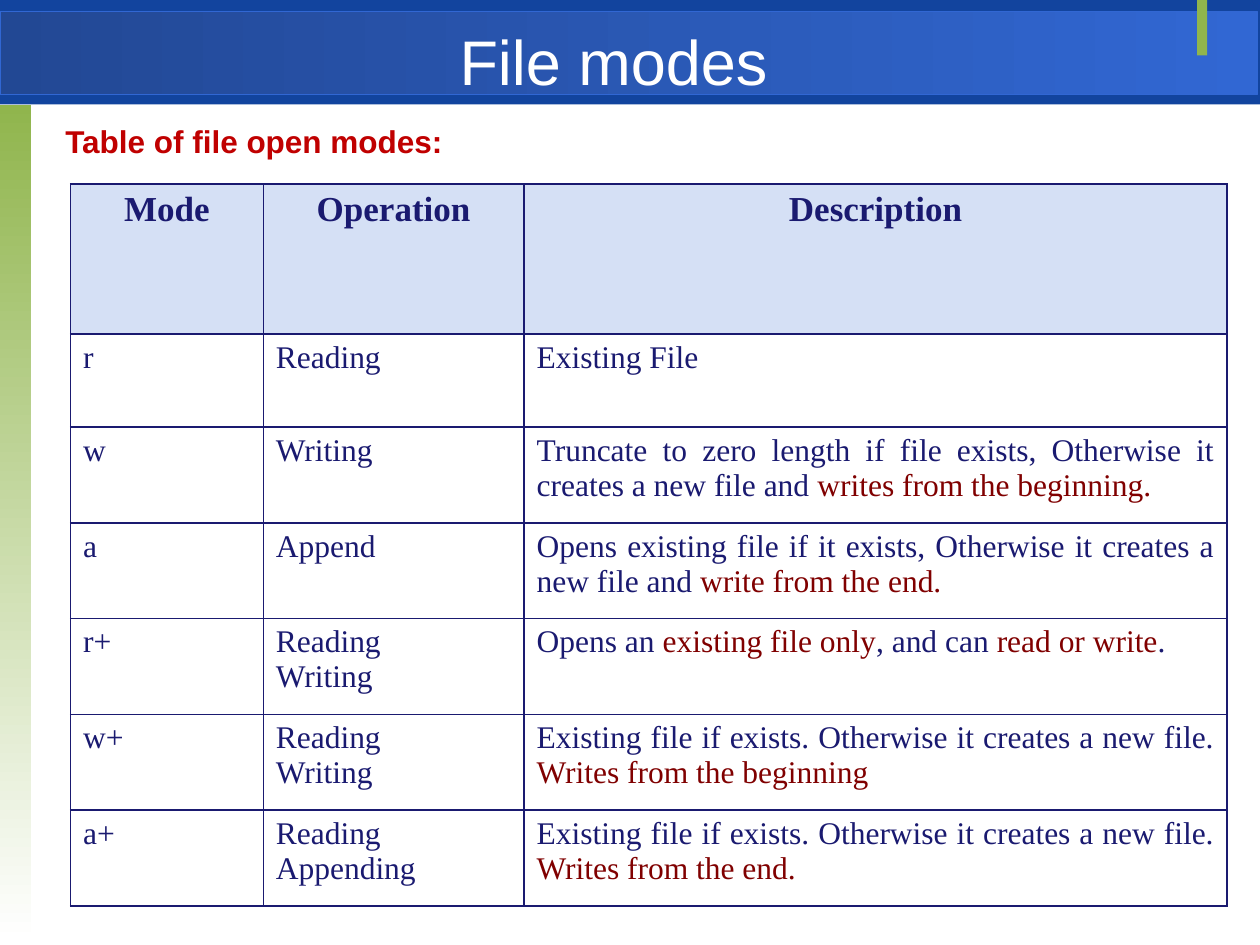
"""Build the slide that tabulates the file open modes."""
from dataclasses import dataclass

from lxml import etree
from pptx import Presentation
from pptx import util as u
from pptx.dml import color
from pptx.enum import shapes, text
from pptx.oxml import ns

NAVY, MAROON, HEADER_FILL = "1A1A70", "800000", "D5E0F5"
GREEN, WHITE = "90B54D", "FFFFFF"
SERIF, SANS = "Times New Roman", "Arial"
LEFT, CENTER, JUSTIFY = text.PP_ALIGN.LEFT, text.PP_ALIGN.CENTER, text.PP_ALIGN.JUSTIFY


@dataclass
class Bar:
    box: tuple[float, float, float, float]
    colors: tuple[str, ...]
    angle: int = 0
    line: str | None = None


@dataclass
class FileMode:
    """One table row; description runs alternate between plain and highlighted."""
    mode: str
    operations: tuple[str, ...]
    description: tuple[str, ...]


BARS = [
    Bar((0, 0, 10, 0.83), ("12449E",)),
    Bar((0, 0.09, 9.98, 0.66), ("224894", "3167D3"), line="3167D3"),
    Bar((0, 0.83, 0.25, 6.64), (GREEN, WHITE), angle=270),
    Bar((9.5, 0, 0.08, 0.44), (GREEN,)),
]
HEADINGS = ("Mode", "Operation", "Description")
NEW_FILE = "Existing file if exists. Otherwise it creates a new file. "
FILE_MODES = [
    FileMode("r", ("Reading",), ("Existing File",)),
    FileMode("w", ("Writing",), (
        "Truncate to zero length if file exists, Otherwise it creates a new file and ",
        "writes from the beginning.")),
    FileMode("a", ("Append",), (
        "Opens existing file if it exists, Otherwise it creates a new file and ",
        "write from the end.")),
    FileMode("r+", ("Reading", "Writing"), (
        "Opens an ", "existing file only", ", and can ", "read or write", ".")),
    FileMode("w+", ("Reading", "Writing"), (NEW_FILE, "Writes from the beginning")),
    FileMode("a+", ("Reading", "Appending"), (NEW_FILE, "Writes from the end.")),
]
COLUMN_WIDTHS = (1.53, 2.07, 5.58)
ROW_HEIGHTS = (1.19, 0.74) + (0.76,) * 5


def rgb(value: str) -> color.RGBColor:
    return color.RGBColor.from_string(value)


def inches(box: tuple) -> list:
    return [u.Inches(length) for length in box]


def format_paragraph(paragraph, size, name, value, bold=False, align=LEFT) -> None:
    paragraph.alignment = align
    font = paragraph.font
    font.size, font.name, font.bold = u.Pt(size), name, bold
    font.color.rgb = rgb(value)


def add_bar(slide, bar: Bar) -> None:
    shape = slide.shapes.add_shape(shapes.MSO_SHAPE.RECTANGLE, *inches(bar.box))
    shape.shadow.inherit = False
    if len(bar.colors) == 1:
        shape.fill.solid()
        shape.fill.fore_color.rgb = rgb(bar.colors[0])
    else:
        shape.fill.gradient()
        shape.fill.gradient_angle = bar.angle
        for stop, value in zip(shape.fill.gradient_stops, bar.colors):
            stop.color.rgb = rgb(value)
    if bar.line:
        shape.line.color.rgb = rgb(bar.line)
        shape.line.width = u.Pt(0.75)
    else:
        shape.line.fill.background()


def place_title(slide) -> None:
    title = slide.shapes.title
    title.left, title.top, title.width, title.height = inches((0.33, 0.08, 9.08, 0.58))
    title.element.getparent().append(title.element)
    frame = title.text_frame
    frame.text = "File modes"
    frame.auto_size = text.MSO_AUTO_SIZE.NONE
    frame.vertical_anchor = text.MSO_ANCHOR.TOP
    frame.margin_top = u.Inches(0.1)
    format_paragraph(frame.paragraphs[0], 36, SANS, WHITE, align=CENTER)


def add_caption(slide) -> None:
    frame = slide.shapes.add_textbox(*inches((0.42, 0.92, 9.21, 5.91))).text_frame
    frame.word_wrap = True
    frame.text = "Table of file open modes:"
    format_paragraph(frame.paragraphs[0], 18, SANS, "C00000", bold=True)


def set_borders(cell) -> None:
    properties = cell._tc.get_or_add_tcPr()
    for side in ("lnL", "lnR", "lnT", "lnB"):
        line = etree.SubElement(properties, ns.qn(f"a:{side}"), w=str(u.Pt(1)))
        fill = etree.SubElement(line, ns.qn("a:solidFill"))
        etree.SubElement(fill, ns.qn("a:srgbClr"), val=NAVY)


def fill_cell(cell, lines: list, size=18, bold=False, align=LEFT, fill=None) -> None:
    set_borders(cell)
    if fill:
        cell.fill.solid()
        cell.fill.fore_color.rgb = rgb(fill)
    else:
        cell.fill.background()
    frame = cell.text_frame
    for index, runs in enumerate(lines):
        paragraph = frame.add_paragraph() if index else frame.paragraphs[0]
        format_paragraph(paragraph, size, SERIF, NAVY, bold, align)
        for position, words in enumerate(runs):
            run = paragraph.add_run()
            run.text = words
            if position % 2:
                run.font.color.rgb = rgb(MAROON)


def add_mode_table(slide) -> None:
    box = (0.56, 1.46, sum(COLUMN_WIDTHS), sum(ROW_HEIGHTS))
    table = slide.shapes.add_table(
        len(ROW_HEIGHTS), len(COLUMN_WIDTHS), *inches(box)).table
    table.horz_banding = False
    for column, width in zip(table.columns, COLUMN_WIDTHS):
        column.width = u.Inches(width)
    for row, height in zip(table.rows, ROW_HEIGHTS):
        row.height = u.Inches(height)
    for index, heading in enumerate(HEADINGS):
        fill_cell(table.cell(0, index), [(heading,)], 20, True, CENTER, HEADER_FILL)
    for index, entry in enumerate(FILE_MODES, start=1):
        fill_cell(table.cell(index, 0), [(entry.mode,)])
        fill_cell(table.cell(index, 1), [(name,) for name in entry.operations])
        fill_cell(table.cell(index, 2), [entry.description], align=JUSTIFY)


def main() -> None:
    presentation = Presentation()
    presentation.slide_width, presentation.slide_height = u.Inches(10), u.Inches(7.5)
    slide = presentation.slides.add_slide(presentation.slide_layouts[5])
    for bar in BARS:
        add_bar(slide, bar)
    add_caption(slide)
    place_title(slide)
    add_mode_table(slide)
    presentation.save("out.pptx")


if __name__ == "__main__":
    main()
